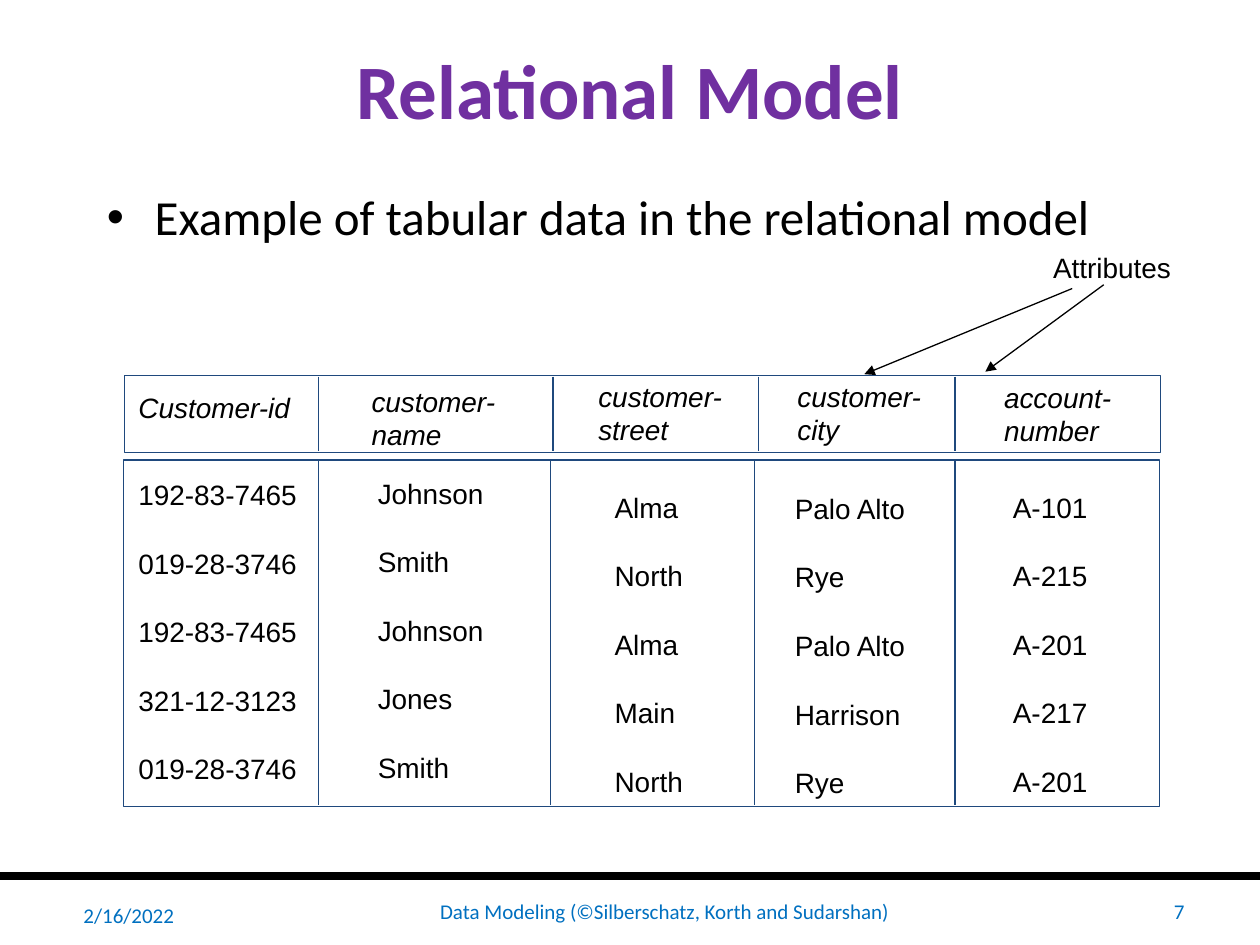
from pptx import Presentation
from pptx.dml.color import RGBColor
from pptx.enum.shapes import MSO_CONNECTOR, MSO_SHAPE
from pptx.enum.text import MSO_ANCHOR, PP_ALIGN
from pptx.oxml.ns import qn
from pptx.util import Inches, Pt
from lxml import etree

LEFT, CENTER, RIGHT = PP_ALIGN.LEFT, PP_ALIGN.CENTER, PP_ALIGN.RIGHT
TOP, MIDDLE = MSO_ANCHOR.TOP, MSO_ANCHOR.MIDDLE
BLACK = RGBColor(0x00, 0x00, 0x00)
WHITE = RGBColor(0xFF, 0xFF, 0xFF)
PURPLE = RGBColor(0x70, 0x30, 0xA0)
NAVY = RGBColor(0x1F, 0x49, 0x7D)
BLUE = RGBColor(0x00, 0x70, 0xC0)

# Content
TITLE = "Relational Model"
BULLET = "Example of tabular data in the relational model"
# Header lines, header box, column values, values box
COLUMNS = [
    (["Customer-id"], (1, 3.05, 1.41, 0.64),
     ["192-83-7465", "019-28-3746", "192-83-7465", "321-12-3123", "019-28-3746"],
     (1, 3.74, 1.46, 2.51)),
    (["customer-", "name"], (2.85, 3, 1.19, 0.64),
     ["Johnson", "Smith", "Johnson", "Jones", "Smith"], (2.9, 3.73, 1.04, 2.51)),
    (["customer-", "street"], (4.65, 2.96, 1.19, 0.64),
     ["Alma", "North", "Alma", "Main", "North"], (4.78, 3.84, 0.74, 2.51)),
    (["customer-", "city"], (6.23, 2.96, 1.19, 0.64),
     ["Palo Alto", "Rye", "Palo Alto", "Harrison", "Rye"], (6.21, 3.85, 1.09, 2.51)),
    (["account-", "number"], (7.87, 2.97, 1.05, 0.64),
     ["A-101", "A-215", "A-201", "A-217", "A-201"], (7.94, 3.84, 0.79, 2.51)),
]
# Frame and the x of its column dividers
FRAMES = [
    ((0.99, 2.98, 8.22, 0.61), (2.53, 4.39, 6.02, 7.58)),
    ((0.98, 3.65, 8.22, 2.75), (2.53, 4.37, 5.99, 7.58)),
]
ARROWS = [(8.76, 2.26, 7.82, 2.95), (8.51, 2.29, 6.86, 2.97)]
FOOTER = [
    ("2/16/2022", (0.39, 7.03, 1.09, 0.47), RIGHT),
    ("Data Modeling (©Silberschatz, Korth and Sudarshan)", (1.64, 7.03, 7.27, 0.4), CENTER),
    ("7", (9.06, 7.03, 0.44, 0.4), RIGHT),
]

prs = Presentation()
prs.slide_width, prs.slide_height = Inches(10), Inches(7.5)
s = prs.slides.add_slide(prs.slide_layouts[6])


def add_text(lines, box, size=16, font="Arial", color=BLACK, bold=False, italic=False,
             align=LEFT, anchor=TOP, wrap=False, after=0):
    tf = s.shapes.add_textbox(*map(Inches, box)).text_frame
    tf.word_wrap = wrap
    tf.vertical_anchor = anchor
    for i, line in enumerate(lines):
        p = tf.paragraphs[0] if i == 0 else tf.add_paragraph()
        p.alignment = align
        p.space_after = Pt(after)
        r = p.add_run()
        r.text = line
        r.font.size, r.font.name = Pt(size), font
        r.font.bold, r.font.italic = bold, italic
        r.font.color.rgb = color
    return tf


def add_line(x1, y1, x2, y2, color=NAVY, width=0.75, arrow=False):
    c = s.shapes.add_connector(MSO_CONNECTOR.STRAIGHT, *map(Inches, (x1, y1, x2, y2)))
    c.line.color.rgb = color
    c.line.width = Pt(width)
    if arrow:
        etree.SubElement(c.line._get_or_add_ln(), qn("a:tailEnd"), type="triangle")
    etree.SubElement(c._element.spPr, qn("a:effectLst"))


# Footer rule, title and bullet
add_line(0, 6.95, 10, 6.95, color=BLACK, width=4.5)
add_text([TITLE], (0.5, 0.08, 9, 1.25), size=44, font="Calibri", color=PURPLE,
         bold=True, align=CENTER, anchor=MIDDLE, wrap=True)
p = add_text([BULLET], (0.75, 1.48, 8.5, 0.78), size=28, font="Calibri",
             wrap=True).paragraphs[0]
p.line_spacing = 0.9
p.space_before = Pt(5.6)
pPr = p._p.get_or_add_pPr()
pPr.set("marL", str(Inches(0.38)))
pPr.set("indent", str(-Inches(0.38)))
etree.SubElement(pPr, qn("a:buFont"), typeface="Arial")
etree.SubElement(pPr, qn("a:buChar"), char="•")

# Header and body frames with their dividers
for (x, y, w, h), dividers in FRAMES:
    sp = s.shapes.add_shape(MSO_SHAPE.RECTANGLE, *map(Inches, (x, y, w, h)))
    sp.shadow.inherit = False
    sp.fill.solid()
    sp.fill.fore_color.rgb = WHITE
    sp.line.color.rgb = NAVY
    sp.line.width = Pt(0.75)
    for dx in dividers:
        add_line(dx, y + 0.01, dx, y + h - 0.01)

# Column names and values
for header, header_box, values, values_box in COLUMNS:
    add_text(header, header_box, italic=True)
    add_text(values, values_box, after=20)

# Attributes callout
add_text(["Attributes"], (8.26, 1.94, 1.14, 0.37))
for arrow in ARROWS:
    add_line(*arrow, color=BLACK, arrow=True)

# Footer
for text, box, align in FOOTER:
    add_text([text], box, size=12, font="Calibri", color=BLUE, align=align,
             anchor=MIDDLE, wrap=True)

prs.save("out.pptx")
